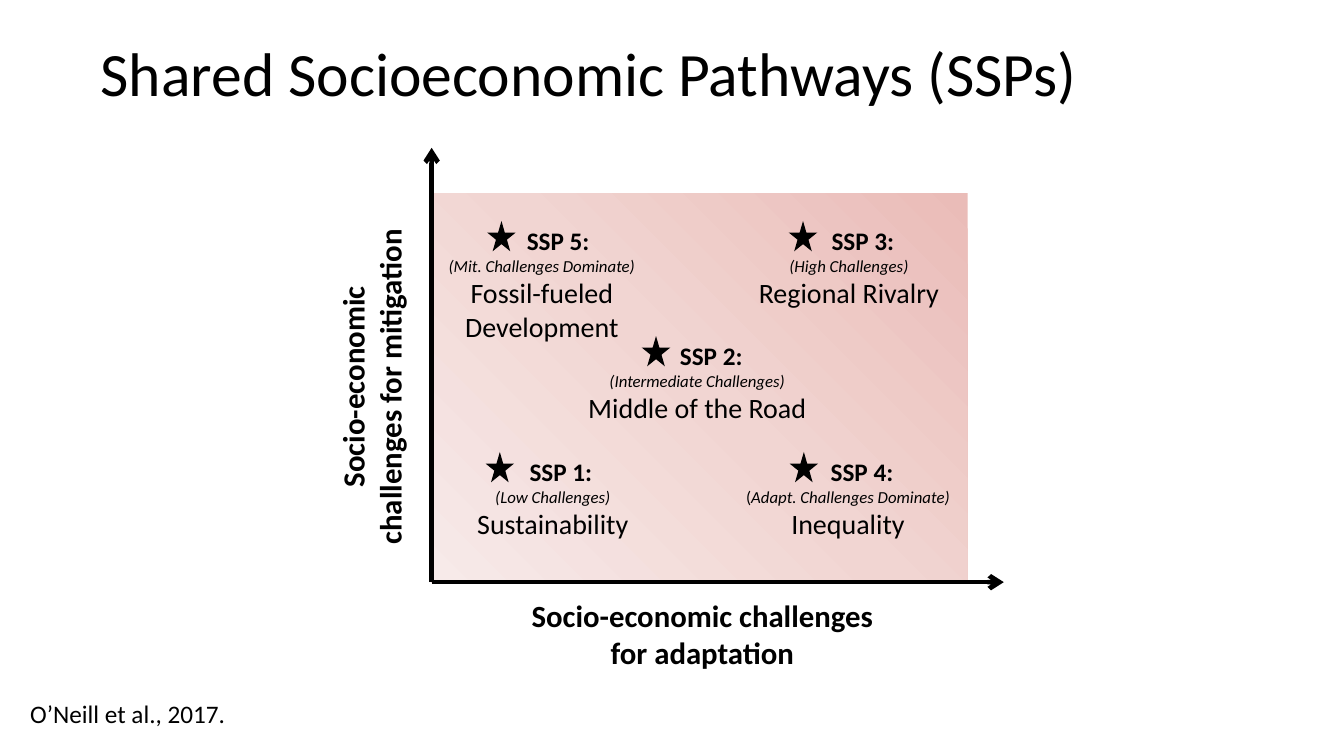
"""Build a slide that places the five Shared Socioeconomic Pathways on two challenge axes."""
import copy

import pptx
import pptx.dml.color
import pptx.enum.shapes
import pptx.enum.text
import pptx.oxml
import pptx.oxml.ns
import pptx.util

Pt = pptx.util.Pt
SHAPES = pptx.enum.shapes.MSO_SHAPE
ALIGN = pptx.enum.text.PP_ALIGN
ANCHOR = pptx.enum.text.MSO_ANCHOR

TITLE = "Shared Socioeconomic Pathways (SSPs)"
CITATION = "O’Neill et al., 2017."
ADAPTATION_LABEL = ["Socio-economic challenges", "for adaptation"]
MITIGATION_LABEL = ["Socio-economic", "challenges for mitigation"]

TOP_ROW, MIDDLE_ROW, BOTTOM_ROW = 189.4, 288, 387.4
PATHWAYS = [
    {"heading": "SSP 1:", "upright": "", "note": "(Low Challenges)",
     "names": ["Sustainability"],
     "center": 473.8, "top": BOTTOM_ROW, "star": 416.2, "indent": 14},
    {"heading": "SSP 3:", "upright": "", "note": "(High Challenges)",
     "names": ["Regional Rivalry"],
     "center": 727.6, "top": TOP_ROW, "star": 676.1, "indent": 24},
    {"heading": "SSP 4:", "upright": "(", "note": "Adapt. Challenges Dominate)",
     "names": ["Inequality"],
     "center": 726.8, "top": BOTTOM_ROW, "star": 676.8, "indent": 24},
    {"heading": "SSP 5:", "upright": "", "note": "(Mit. Challenges Dominate)",
     "names": ["Fossil-fueled", "Development"],
     "center": 464.4, "top": TOP_ROW, "star": 417.6, "indent": 28},
    {"heading": "SSP 2:", "upright": "", "note": "(Intermediate Challenges)",
     "names": ["Middle of the Road"],
     "center": 597.6, "top": MIDDLE_ROW, "star": 550.1, "indent": 24},
]

FONT = "Calibri"
BLACK = "000000"
GRADIENT = [(0, "EABCB8"), (0.5, "F1D5D2"), (1, "F7EAE9")]
TITLE_SIZE, LABEL_SIZE, NAME_SIZE, HEADING_SIZE, NOTE_SIZE = 52.8, 26.4, 24, 21.6, 14.4

SLIDE_WIDTH, SLIDE_HEIGHT = 1152, 648
ORIGIN_X, ORIGIN_Y = 370, 499
AREA_WIDTH, AREA_HEIGHT = 459.4, 333.4
AXIS_ENDS = [(860.4, ORIGIN_Y), (ORIGIN_X, 126.7)]
CARD_WIDTH, CARD_HEAD_HEIGHT, NAME_HEIGHT = 204, 51, 29
STAR_WIDTH, STAR_HEIGHT = 24.5, 26


def color(hex_string):
    return pptx.dml.color.RGBColor.from_string(hex_string)


def drawing_element(tag, attributes=""):
    namespace = pptx.oxml.ns.nsdecls("a")
    return pptx.oxml.parse_xml(f"<a:{tag} {namespace} {attributes}/>")


def add_run(paragraph, text, size=NAME_SIZE, bold=False, italic=False):
    run = paragraph.add_run()
    run.text = text
    run.font.name = FONT
    run.font.size = Pt(size)
    run.font.bold = bold
    run.font.italic = italic
    run.font.color.rgb = color(BLACK)


def add_text_box(slide, left, top, width, height, inset=7.2):
    box = slide.shapes.add_textbox(Pt(left), Pt(top), Pt(width), Pt(height))
    frame = box.text_frame
    frame.word_wrap = True
    frame.margin_left = frame.margin_right = Pt(inset)
    return box


def add_lines(box, lines, align=ALIGN.CENTER, **text_format):
    frame = box.text_frame
    for line in lines:
        first = frame.paragraphs[0]
        paragraph = frame.add_paragraph() if first.runs else first
        paragraph.alignment = align
        add_run(paragraph, line, **text_format)
    return paragraph


def add_plain_shape(slide, kind, left, top, width, height):
    shape = slide.shapes.add_shape(kind, Pt(left), Pt(top), Pt(width), Pt(height))
    shape.shadow.inherit = False
    shape.line.fill.background()
    return shape


def add_area(slide):
    area = add_plain_shape(slide, SHAPES.RECTANGLE, ORIGIN_X, ORIGIN_Y - AREA_HEIGHT,
                           AREA_WIDTH, AREA_HEIGHT)
    area.fill.gradient()
    area.fill.gradient_angle = 225
    stop_list = area.element.xpath(".//a:gsLst")[0]
    stop_list.append(copy.deepcopy(stop_list[0]))
    for stop, (position, shade) in zip(area.fill.gradient_stops, GRADIENT):
        stop.position = position
        stop.color.rgb = color(shade)


def add_axis(slide, end_x, end_y):
    axis = slide.shapes.add_connector(pptx.enum.shapes.MSO_CONNECTOR.STRAIGHT,
                                      Pt(ORIGIN_X), Pt(ORIGIN_Y), Pt(end_x), Pt(end_y))
    axis.line.width = Pt(4)
    axis.line.color.rgb = color(BLACK)
    line = axis.element.xpath(".//a:ln")[0]
    line.append(drawing_element("tailEnd", 'type="arrow"'))
    line.addnext(drawing_element("effectLst"))


def add_pathway(slide, heading, upright, note, names, center, top, star, indent):
    card = add_text_box(slide, center - CARD_WIDTH / 2, top, CARD_WIDTH,
                        CARD_HEAD_HEIGHT + NAME_HEIGHT * len(names), inset=0)
    heading_line = add_lines(card, [heading], size=HEADING_SIZE, bold=True)
    heading_line.alignment = ALIGN.CENTER
    card.element.xpath(".//a:pPr")[0].set("marL", str(Pt(indent)))
    if upright:
        note_line = add_lines(card, [upright], size=NOTE_SIZE)
        add_run(note_line, note, size=NOTE_SIZE, italic=True)
    else:
        add_lines(card, [note], size=NOTE_SIZE, italic=True)
    add_lines(card, names)

    marker = add_plain_shape(slide, SHAPES.STAR_5_POINT, star, top, STAR_WIDTH, STAR_HEIGHT)
    marker.fill.solid()
    marker.fill.fore_color.rgb = color(BLACK)


def main():
    presentation = pptx.Presentation()
    presentation.slide_width = Pt(SLIDE_WIDTH)
    presentation.slide_height = Pt(SLIDE_HEIGHT)
    slide = presentation.slides.add_slide(presentation.slide_layouts[6])

    title = add_text_box(slide, 79.2, 2.9, 993.6, 125.3)
    title.text_frame.vertical_anchor = ANCHOR.MIDDLE
    title_line = add_lines(title, [TITLE], align=ALIGN.LEFT, size=TITLE_SIZE)
    title_line.line_spacing = 0.9

    add_area(slide)
    for end_x, end_y in AXIS_ENDS:
        add_axis(slide, end_x, end_y)

    adaptation = add_text_box(slide, 412, 508.3, 380.2, 71.3)
    add_lines(adaptation, ADAPTATION_LABEL, size=LABEL_SIZE, bold=True)
    mitigation = add_text_box(slide, 139, 295.9, 358.6, 71.3)
    mitigation.rotation = 270
    add_lines(mitigation, MITIGATION_LABEL, size=LABEL_SIZE, bold=True)

    for pathway in PATHWAYS:
        add_pathway(slide, **pathway)

    citation = add_text_box(slide, 18.7, 594.7, 183.6, 33.1)
    add_lines(citation, [CITATION], align=ALIGN.LEFT, size=HEADING_SIZE)
    presentation.save("out.pptx")


if __name__ == "__main__":
    main()
